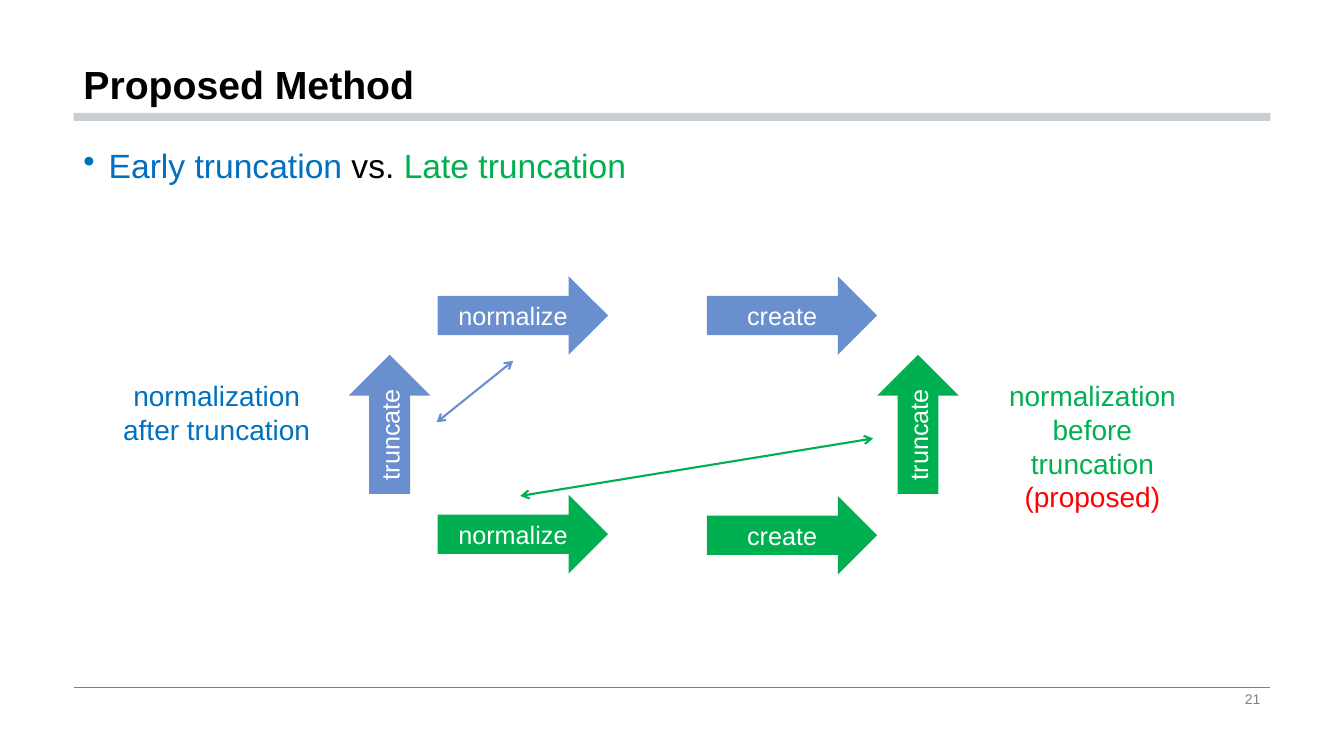
from dataclasses import dataclass

from lxml.etree import SubElement
from pptx import Presentation
from pptx.dml.color import RGBColor
from pptx.enum.shapes import MSO_CONNECTOR as Conn, MSO_SHAPE as Shape
from pptx.enum.text import MSO_ANCHOR as Anchor, PP_ALIGN as Align
from pptx.oxml.ns import qn
from pptx.util import Inches, Pt


@dataclass(frozen=True)
class Theme:
    font: str = "Arial"
    black: str = "000000"
    white: str = "FFFFFF"
    gray: str = "808080"
    bar: str = "C9CED5"
    early: str = "698FCE"
    late: str = "00B050"
    blue: str = "0070C0"
    red: str = "FF0000"
    title: int = 28
    body: int = 24
    note: int = 20
    label: int = 18
    small: int = 10


THEME = Theme()
LEFT, WIDE = 0.73, 11.87


def color(code):
    return RGBColor.from_string(code)


def write(frame, paras, size, bold=False, align=Align.LEFT,
          anchor=Anchor.TOP, space=None, bullet=None):
    """Fill a frame; each paragraph is a list of (text, colour) runs."""
    frame.word_wrap = True
    frame.vertical_anchor = anchor
    for i, runs in enumerate(paras):
        para = frame.add_paragraph() if i else frame.paragraphs[0]
        para.alignment = align
        if space:
            para.line_spacing = space
        if bullet:
            props = para._p.get_or_add_pPr()
            props.set("marL", str(Inches(0.25)))
            props.set("indent", str(Inches(-0.25)))
            SubElement(props, qn("a:buChar"), char=bullet)
        for text, code in runs:
            run = para.add_run()
            run.text = text
            font = run.font
            font.name, font.size, font.bold = THEME.font, Pt(size), bold
            font.color.rgb = color(code)


def add_text(slide, box, paras, size, **form):
    area = slide.shapes.add_textbox(*map(Inches, box))
    write(area.text_frame, paras, size, **form)


def add_block(slide, kind, box, fill):
    block = slide.shapes.add_shape(kind, *map(Inches, box))
    block.shadow.inherit = False
    block.fill.solid()
    block.fill.fore_color.rgb = color(fill)
    block.line.fill.background()
    return block


def add_arrow(slide, kind, box, fill, text):
    frame = add_block(slide, kind, box, fill).text_frame
    write(frame, [[(text, THEME.white)]], THEME.label,
          align=Align.CENTER, anchor=Anchor.MIDDLE)
    if kind == Shape.UP_ARROW:
        frame._txBody.bodyPr.set("vert", "vert270")


def add_line(slide, start, end, code, width, heads=False):
    line = slide.shapes.add_connector(
        Conn.STRAIGHT, *map(Inches, (*start, *end)))
    line.line.color.rgb = color(code)
    line.line.width = Pt(width)
    if heads:
        stroke = line.line._get_or_add_ln()
        for tag in ("a:headEnd", "a:tailEnd"):
            SubElement(stroke, qn(tag), type="arrow")
    SubElement(line._element.spPr, qn("a:effectLst"))


def add_frame(slide):
    add_line(slide, (LEFT, 6.82), (LEFT + WIDE, 6.82), THEME.gray, 0.5)
    add_block(slide, Shape.RECTANGLE, (LEFT, 1.12, WIDE, 0.08), THEME.bar)
    add_text(slide, (LEFT, 0, WIDE, 1.12),
             [[("Proposed Method", THEME.black)]], THEME.title,
             bold=True, anchor=Anchor.BOTTOM, space=0.9)
    add_text(slide, (9.42, 6.82, 3.18, 0.23), [[("21", THEME.gray)]],
             THEME.small, align=Align.RIGHT, anchor=Anchor.MIDDLE)


def add_flow(slide):
    # Steps: one row and one truncate arrow per method
    for code, norm, make, cut in ((THEME.early, 2.74, 2.74, 3.46),
                                  (THEME.late, 4.91, 4.92, 8.7)):
        for text, x, y in (("normalize", 4.34, norm), ("create", 7.01, make)):
            add_arrow(slide, Shape.RIGHT_ARROW, (x, y, 1.69, 0.78), code, text)
        add_arrow(slide, Shape.UP_ARROW, (cut, 3.52, 0.81, 1.38),
                  code, "truncate")

    # Links between normalize and truncate
    add_line(slide, (5.09, 3.58), (4.33, 4.19), THEME.early, 1.5, heads=True)
    add_line(slide, (5.16, 4.92), (8.66, 4.35), THEME.late, 1.5, heads=True)


def main():
    deck = Presentation()
    deck.slide_width, deck.slide_height = Inches(13.33), Inches(7.5)
    slide = deck.slides.add_slide(deck.slide_layouts[6])

    # Title, rules and page number
    add_frame(slide)

    # Topic
    add_text(slide, (LEFT, 1.43, WIDE, 5.29),
             [[("Early truncation", THEME.blue), (" vs.", THEME.black),
               (" Late truncation", THEME.late)]],
             THEME.body, space=0.9, bullet="•")

    # Diagram and its side notes
    add_flow(slide)
    add_text(slide, (1.05, 3.71, 2.2, 1.11),
             [[("normalization after truncation", THEME.blue)]],
             THEME.note, align=Align.CENTER)
    add_text(slide, (9.73, 3.71, 2.21, 1.45),
             [[("normalization before", THEME.late)],
              [("truncation", THEME.late)], [("(proposed)", THEME.red)]],
             THEME.note, align=Align.CENTER)

    deck.save("out.pptx")


if __name__ == "__main__":
    main()
